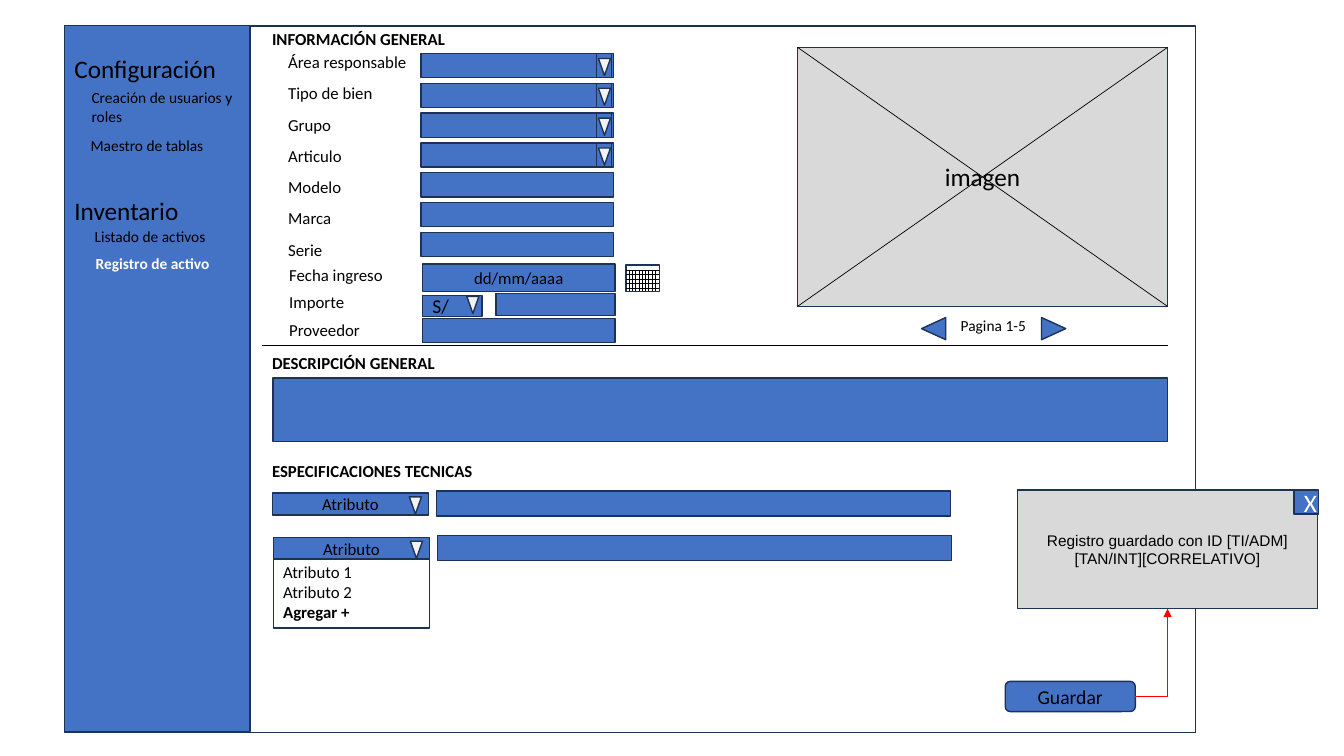
from collections import namedtuple
from dataclasses import dataclass

from pptx import Presentation
from pptx.dml.color import RGBColor as Rgb
from pptx.enum.shapes import MSO_CONNECTOR as Conn, MSO_SHAPE as Kind
from pptx.enum.text import MSO_ANCHOR as Anchor, PP_ALIGN as Align
from pptx.oxml.ns import qn
from pptx.util import Inches, Pt
from lxml.etree import SubElement


@dataclass(frozen=True)
class Theme:
    blue: str = "4472C4"
    navy: str = "1E3256"
    gray: str = "D9D9D9"
    pale: str = "F2F2F2"
    black: str = "000000"
    white: str = "FFFFFF"
    red: str = "FF0000"
    font: str = "Calibri"
    alt: str = "Arial"
    head: int = 18
    big: int = 14
    body: int = 12
    small: int = 11
    edge: float = 1
    hair: float = 0.5


T = Theme()
# All lengths count grid cells, ten to the inch.
CELL = Inches(0.1)
Base = namedtuple("Base", "x y w h")


class Box(Base):
    def at(self, x, y, w, h):
        return Box(self.x + x, self.y + y, w, h)


def emu(*cells):
    return [round(c * CELL) for c in cells]


def write(frame, lines, size, color=T.black, bold=False, font=T.font, align=Align.LEFT):
    frame.word_wrap = True
    for i, line in enumerate(lines):
        para = frame.paragraphs[0] if i == 0 else frame.add_paragraph()
        para.alignment = align
        run = para.add_run()
        run.text = line
        run.font.name, run.font.size = font, Pt(size)
        run.font.bold = bold
        run.font.color.rgb = Rgb.from_string(color)


def label(slide, box, text, size=T.body, **style):
    area = slide.shapes.add_textbox(*emu(*box))
    write(area.text_frame, [text], size, **style)
    return area


def shape(slide, box, fill=T.blue, kind=Kind.RECTANGLE, turn=0, text=None,
          size=T.body, align=Align.CENTER, **style):
    item = slide.shapes.add_shape(kind, *emu(*box))
    item.shadow.inherit = False
    item.rotation = turn
    if fill:
        item.fill.solid()
        item.fill.fore_color.rgb = Rgb.from_string(fill)
    else:
        item.fill.background()
    item.line.color.rgb = Rgb.from_string(T.navy)
    item.line.width = Pt(T.edge)
    if text:
        item.text_frame.vertical_anchor = Anchor.MIDDLE
        write(item.text_frame, [text], size, align=align, **style)
    return item


def line(slide, x1, y1, x2, y2, color=T.black, kind=Conn.STRAIGHT):
    item = slide.shapes.add_connector(kind, *emu(x1, y1, x2, y2))
    item.line.color.rgb = Rgb.from_string(color)
    item.line.width = Pt(T.hair)
    SubElement(item._element.spPr, qn("a:effectLst"))
    return item


def arrow(slide, x1, y1, x2, y2):
    """Red arrow with a single right-angle bend."""
    item = line(slide, x1, y1, x2, y2, T.red, Conn.ELBOW)
    props = item._element.spPr
    props.find(qn("a:prstGeom")).set("prst", "bentConnector2")
    SubElement(props.find(qn("a:ln")), qn("a:tailEnd"), type="triangle")


def caret(slide, box):
    shape(slide, box, T.pale, Kind.ISOSCELES_TRIANGLE, 180)


def combo(slide, box):
    """Field with a drop-down button at its right end."""
    shape(slide, box)
    shape(slide, box.at(17.4, 0, 1.5, box.h))
    caret(slide, box.at(17.6, 0.5, 1.2, 1.7))


def sidebar(slide, box):
    shape(slide, box)
    for text, y in (("Configuración", 2.3), ("Inventario", 16.4)):
        label(slide, box.at(0, y, box.w, 4), text, T.head)
    for text, x, y, h in (
        ("Creación de usuarios y roles", 1.7, 5.8, 4.7),
        ("Maestro de tablas", 1.6, 10.5, 2.9),
        ("Listado de activos", 2, 19.5, 2.9),
    ):
        label(slide, box.at(x, y, 17.4, h), text, T.small)
    label(slide, box.at(2.1, 22.2, 17.4, 2.9), "Registro de activo", T.small,
          color=T.white, bold=True)


def calendar(slide, box):
    shape(slide, box, None)
    top, gap = box.y + 0.5, 0.32
    for i in range(5):
        y = top + 0.45 * i
        line(slide, box.x, y, box.x + box.w, y)
    for i in range(1, 10):
        x = box.x + gap * i
        line(slide, x, top, x, box.y + box.h)


def form(slide, box):
    label(slide, box.at(0, 0, box.w, 3), "INFORMACIÓN GENERAL", bold=True)
    names = ("Área responsable", "Tipo de bien", "Grupo", "Articulo",
             "Modelo", "Marca", "Serie")
    for i, name in enumerate(names):
        label(slide, box.at(1.6, 2.25 + 3.1 * i, 26.6, 3), name)
        draw = combo if i < 4 else shape
        draw(slide, box.at(15.75, 2.9 + 2.96 * i, 19.1, 2.4))
    for i, name in enumerate(("Fecha ingreso", "Importe", "Proveedor")):
        label(slide, box.at(1.7, 23.4 + 2.7 * i, 26.6, 3), name)
    shape(slide, box.at(15.9, 23.8, 19.1, 2.7), text="dd/mm/aaaa")
    calendar(slide, box.at(36.1, 23.9, 3.3, 2.6))
    shape(slide, box.at(15.9, 26.9, 5.9, 2.1), text="S/", size=T.big, align=Align.LEFT)
    caret(slide, box.at(20.3, 27, 1.2, 1.7))
    shape(slide, box.at(23.2, 26.7, 11.8, 2.2))
    shape(slide, box.at(15.9, 29.2, 19.1, 2.4))


def gallery(slide, box):
    shape(slide, box, T.gray, text="imagen", size=T.head)
    right, low = box.x + box.w, box.y + box.h
    line(slide, box.x, box.y, right, low)
    line(slide, right, box.y, box.x, low)
    for x, turn in ((12.4, 270), (24.3, 90)):
        shape(slide, box.at(x, 26.7, 2.2, 2.4), T.blue, Kind.ISOSCELES_TRIANGLE, turn)
    label(slide, box.at(15.2, 26.2, 14.1, 2.9), "Pagina 1-5", T.small)


def summary(slide, box):
    line(slide, box.x, box.y, box.x + box.w, box.y)
    label(slide, box.at(0, 0.2, 26.6, 3), "DESCRIPCIÓN GENERAL", bold=True)
    shape(slide, box.at(1.1, 3.2, 88.7, 6.3))


def specs(slide, box):
    label(slide, box.at(0, 0, 26.6, 3), "ESPECIFICACIONES TECNICAS", bold=True)
    for i in range(2):
        row = box.at(1 + 0.1 * i, 3.5 + 4.4 * i, box.w, 2.5)
        shape(slide, row.at(0, 0.2, 15.5, 2.2), text="Atributo")
        caret(slide, row.at(13.6, 0.6, 1.2, 1.7))
        shape(slide, row.at(16.3, 0, 51, 2.5))
    shape(slide, box.at(1.1, 10.2, 15.5, 6.9), None)
    menu = label(slide, box.at(1.1, 10, 11.3, 7.1), "Atributo 1").text_frame
    for text, bold in (("Atributo 2", False), ("Agregar +", True)):
        run = menu.add_paragraph().add_run()
        run.text = text
        run.font.name, run.font.size, run.font.bold = T.font, Pt(T.body), bold
        run.font.color.rgb = Rgb.from_string(T.black)


def popup(slide, box):
    shape(slide, box, T.gray, size=T.small, font=T.alt,
          text="Registro guardado con ID [TI/ADM][TAN/INT][CORRELATIVO]")
    shape(slide, box.at(box.w - 2.35, 0, 2.4, 2.4), text="X", size=T.head, color=T.white)
    save = box.at(-1.2, 19, 12.9, 3)
    shape(slide, save, kind=Kind.ROUNDED_RECTANGLE, text="Guardar", size=T.big)
    arrow(slide, save.x + save.w, save.y + save.h / 2,
          box.x + box.w / 2, box.y + box.h)


def main():
    deck = Presentation()
    deck.slide_width, deck.slide_height = Inches(13.33), Inches(7.5)
    slide = deck.slides.add_slide(deck.slide_layouts[6])
    shape(slide, Box(6.4, 2.6, 112.2, 70.1), None)
    sidebar(slide, Box(6.4, 2.5, 18.4, 70.1))
    form(slide, Box(26, 2.4, 26.6, 31.6))
    gallery(slide, Box(79.1, 4.7, 36.7, 25.7))
    summary(slide, Box(26, 34.3, 89.8, 9.5))
    specs(slide, Box(26, 45.2, 68.4, 17.1))
    popup(slide, Box(100.9, 48.6, 29.8, 11.8))
    deck.save("out.pptx")


if __name__ == "__main__":
    main()
